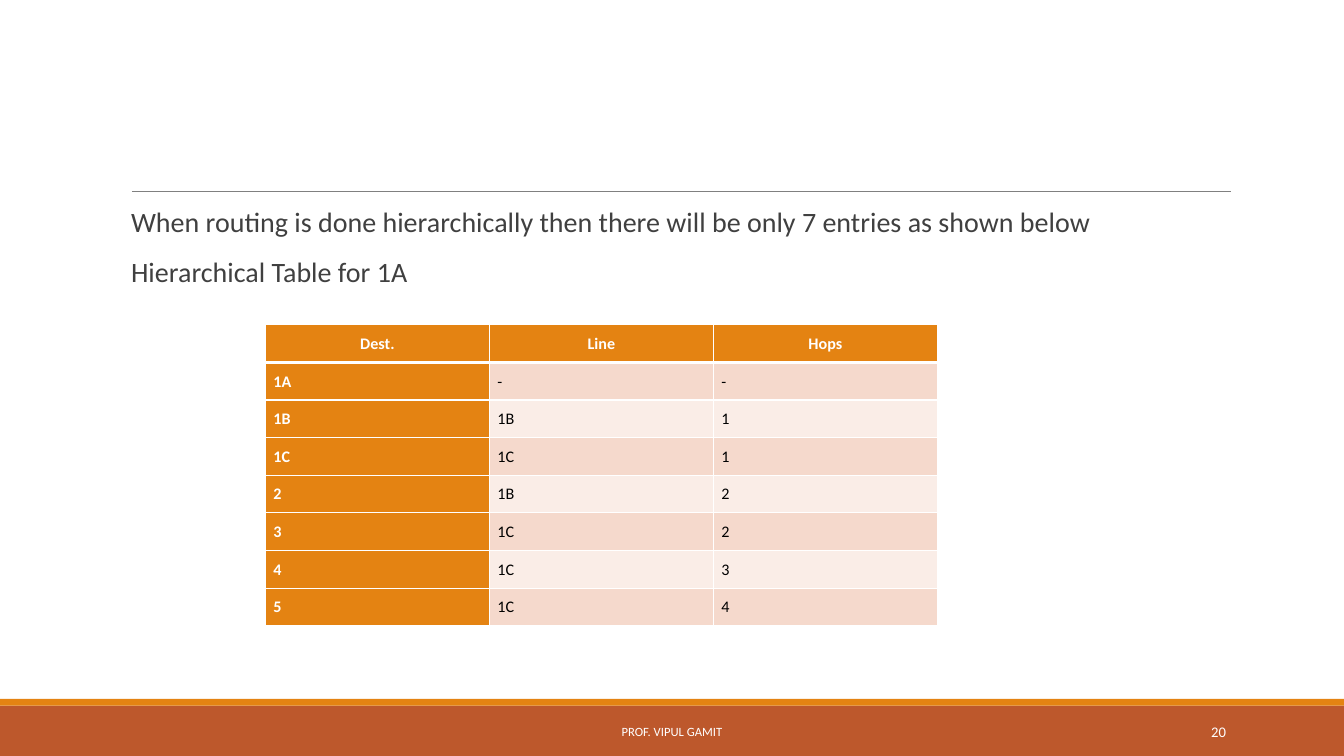
"""Build the slide that shows the hierarchical routing table for router 1A."""
from dataclasses import dataclass

from lxml import etree
from pptx import Presentation
from pptx import util as u
from pptx.dml.color import RGBColor
from pptx.enum import shapes, text
from pptx.oxml.ns import qn

STATEMENTS = [
    "When routing is done hierarchically then there will be only 7 entries as shown below",
    "Hierarchical Table for 1A",
]
ROUTES = [
    ("Dest.", "Line", "Hops"),
    ("1A", "-", "-"),
    ("1B", "1B", "1"),
    ("1C", "1C", "1"),
    ("2", "1B", "2"),
    ("3", "1C", "2"),
    ("4", "1C", "3"),
    ("5", "1C", "4"),
]
AUTHOR = "PROF. VIPUL GAMIT"
PAGE_NUMBER = "20"


@dataclass(frozen=True)
class Theme:
    font: str = "Calibri"
    orange: str = "E48312"
    rust: str = "BD582C"
    rule: str = "808080"
    body: str = "404040"
    white: str = "FFFFFF"
    black: str = "000000"
    bands: tuple = ("F5D9CC", "FAEDE7")
    body_size: float = 20
    table_size: float = 11.5
    author_size: float = 9
    number_size: float = 10.5


THEME = Theme()
WIDTH, HEIGHT = 960, 540
FOOTER_HEIGHT, STRIPE_HEIGHT = 36, 4.8
FOOTER_TOP = HEIGHT - FOOTER_HEIGHT
TABLE_LEFT, TABLE_TOP, COLUMN_WIDTH, ROW_HEIGHT = 189.6, 232, 160, 26.9
CELL_INSET = 5.72


def box(left, top, width, height):
    return [u.Pt(value) for value in (left, top, width, height)]


def style(paragraph, size, color, bold=False):
    for run in paragraph.runs:
        run.font.name = THEME.font
        run.font.size = u.Pt(size)
        run.font.bold = bold
        run.font.color.rgb = RGBColor.from_string(color)


def add_band(slide, top, height, color):
    band = slide.shapes.add_shape(shapes.MSO_SHAPE.RECTANGLE, *box(0, top, WIDTH, height))
    band.shadow.inherit = False
    band.fill.solid()
    band.fill.fore_color.rgb = RGBColor.from_string(color)
    band.line.fill.background()


def add_rule(slide):
    rule = slide.shapes.add_connector(
        shapes.MSO_CONNECTOR.STRAIGHT, *box(94.3, 136.8, 879.1, 136.8))
    rule.line.color.rgb = RGBColor.from_string(THEME.rule)
    rule.line.width = u.Pt(0.5)
    etree.SubElement(rule._element.spPr, qn("a:effectLst"))


def fill_body(body):
    body.left, body.top, body.width, body.height = box(86.4, 145.4, 792, 316.8)
    frame = body.text_frame
    frame.margin_left = frame.margin_right = 0
    frame.margin_top = frame.margin_bottom = u.Pt(3.6)
    frame.vertical_anchor = text.MSO_ANCHOR.TOP
    frame.text = "\n".join(STATEMENTS)
    for paragraph in frame.paragraphs:
        paragraph.line_spacing = 0.9
        paragraph.space_before, paragraph.space_after = u.Pt(12), u.Pt(2)
        properties = paragraph._p.get_or_add_pPr()
        properties.set("marL", str(u.Pt(7.2)))
        properties.set("indent", "0")
        etree.SubElement(properties, qn("a:buNone"))
        style(paragraph, THEME.body_size, THEME.body)


def add_footer_text(slide, content, left, width, size, alignment):
    frame = slide.shapes.add_textbox(*box(left, 508.3, width, 28.8)).text_frame
    frame.word_wrap = True
    frame.vertical_anchor = text.MSO_ANCHOR.MIDDLE
    frame.text = content
    frame.paragraphs[0].alignment = alignment
    style(frame.paragraphs[0], size, THEME.white)


def add_border(cell, side, width):
    line = etree.SubElement(cell._tc.get_or_add_tcPr(), qn(f"a:ln{side}"), w=str(u.Pt(width)))
    fill = etree.SubElement(line, qn("a:solidFill"))
    etree.SubElement(fill, qn("a:srgbClr"), val=THEME.white)


def format_cell(cell, content, row, column):
    is_header = row == 0
    is_accent = is_header or column == 0
    cell.margin_left = cell.margin_right = u.Pt(CELL_INSET)
    cell.margin_top = cell.margin_bottom = u.Pt(CELL_INSET)
    heavy_side = {0: "B", 1: "T"}.get(row)
    for side in "LRTB":
        add_border(cell, side, 3 if side == heavy_side else 1)
    cell.fill.solid()
    cell.fill.fore_color.rgb = RGBColor.from_string(
        THEME.orange if is_accent else THEME.bands[(row - 1) % 2])
    cell.text_frame.text = content
    paragraph = cell.text_frame.paragraphs[0]
    paragraph.line_spacing = 1.07
    paragraph.alignment = text.PP_ALIGN.CENTER if is_header else text.PP_ALIGN.LEFT
    style(paragraph, THEME.table_size, THEME.white if is_accent else THEME.black, is_accent)


def add_routes(slide):
    rows, columns = len(ROUTES), len(ROUTES[0])
    table = slide.shapes.add_table(rows, columns, *box(
        TABLE_LEFT, TABLE_TOP, columns * COLUMN_WIDTH, rows * ROW_HEIGHT)).table
    table.first_col = True
    for column in table.columns:
        column.width = u.Pt(COLUMN_WIDTH)
    for row, route in enumerate(ROUTES):
        table.rows[row].height = u.Pt(ROW_HEIGHT)
        for column, content in enumerate(route):
            format_cell(table.cell(row, column), content, row, column)


presentation = Presentation()
presentation.slide_width, presentation.slide_height = u.Pt(WIDTH), u.Pt(HEIGHT)
slide = presentation.slides.add_slide(presentation.slide_layouts[1])
title = slide.shapes.title._element
title.getparent().remove(title)

add_band(slide, FOOTER_TOP, FOOTER_HEIGHT, THEME.rust)
add_band(slide, FOOTER_TOP - STRIPE_HEIGHT, STRIPE_HEIGHT, THEME.orange)
add_rule(slide)
fill_body(slide.placeholders[1])
add_footer_text(slide, AUTHOR, 290.2, 379.4, THEME.author_size, text.PP_ALIGN.CENTER)
add_footer_text(slide, PAGE_NUMBER, 779.8, 103, THEME.number_size, text.PP_ALIGN.RIGHT)
add_routes(slide)
presentation.save("out.pptx")
